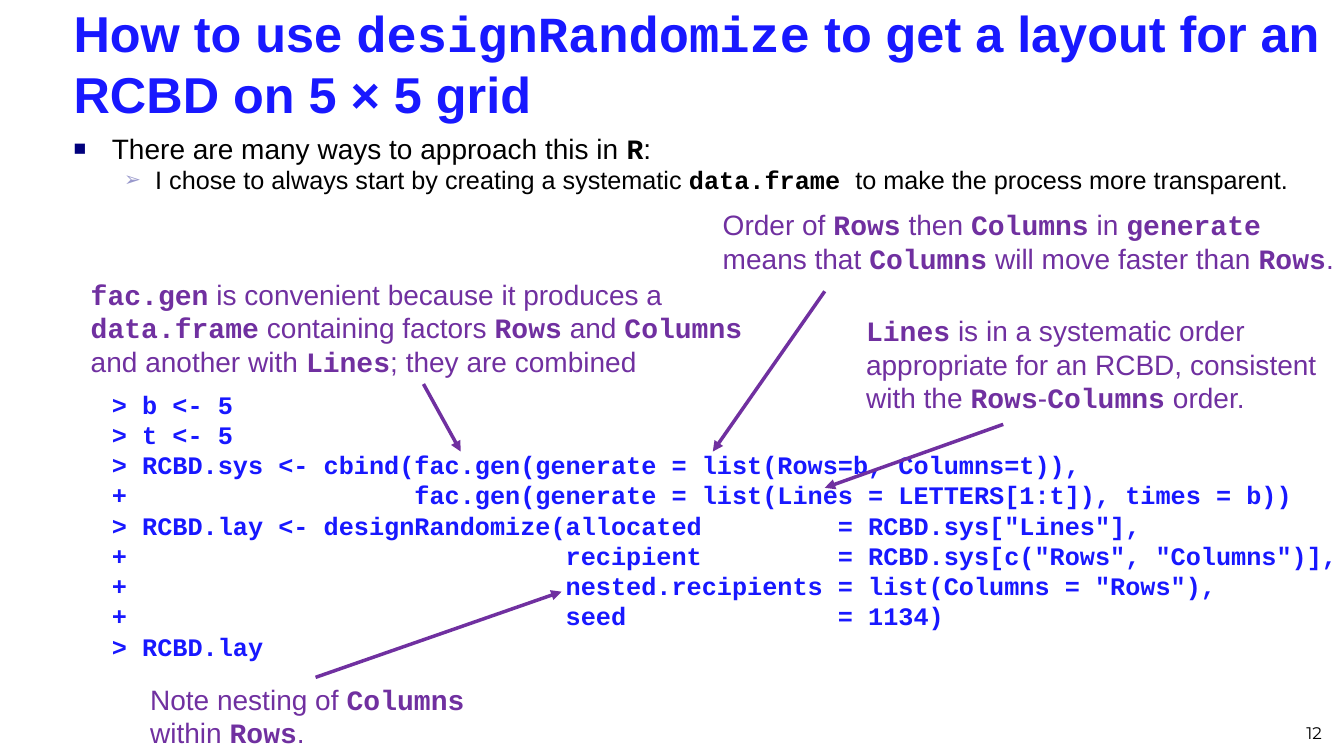
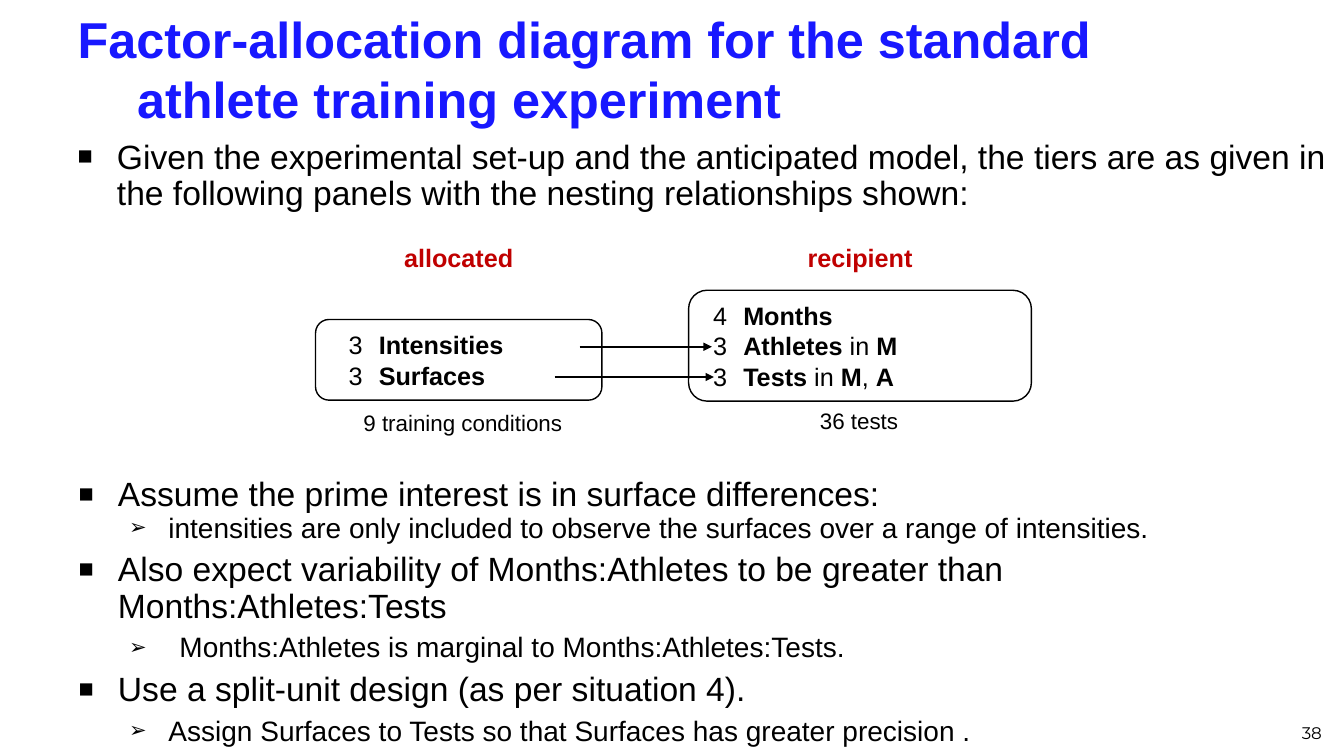
"""Build two slides on randomizing designs: an RCBD layout in R and a factor-allocation diagram."""
from lxml import etree
from pptx import Presentation
from pptx.dml.color import RGBColor
from pptx.enum.shapes import MSO_CONNECTOR, MSO_SHAPE
from pptx.enum.text import MSO_ANCHOR, MSO_AUTO_SIZE, PP_ALIGN
from pptx.oxml.ns import qn
from pptx.util import Inches, Pt

LEFT, CENTER, RIGHT = PP_ALIGN.LEFT, PP_ALIGN.CENTER, PP_ALIGN.RIGHT
TOP, MIDDLE, BOTTOM = MSO_ANCHOR.TOP, MSO_ANCHOR.MIDDLE, MSO_ANCHOR.BOTTOM
STRAIGHT = MSO_CONNECTOR.STRAIGHT
ROUNDED = MSO_SHAPE.ROUNDED_RECTANGLE
NO_FIT = MSO_AUTO_SIZE.NONE

COLORS = {"blue": "1818FF", "purple": "7030A0", "red": "C00000", "black": "000000",
          "navy": "00007D", "lilac": "9999CC"}
DEFAULT = dict(size=20, color="black", font="Arial", accent="Arial", bold=False, align=LEFT,
               level=0, indent=0, hang=0, before=0, spacing=1.0, bullet=None)
SQUARE, ARROW = "\u25a0", "\u27a2"
TITLE = dict(size=36, color="blue", bold=True, accent="Courier New")
POINT = dict(size=24, indent=0.39, hang=0.39, before=6, spacing=0.9, bullet=(SQUARE, "black", 75))
DETAIL = dict(level=1, indent=0.89, hang=0.39, before=6, spacing=0.9, bullet=(ARROW, "black", 75))
STYLES = {
    "title": TITLE,
    "hanging title": TITLE | dict(indent=0.59, hang=0.59),
    "intro": dict(accent="Courier New", indent=0.38, hang=0.38, bullet=(SQUARE, "navy", 75)),
    "intro detail": dict(size=18, accent="Courier New", level=1, indent=0.81, hang=0.31,
                         bullet=(ARROW, "lilac", 80)),
    "code": dict(size=18, color="blue", font="Courier New", bold=True, level=1, indent=0.38),
    "note": dict(color="purple", accent="Courier New"),
    "point": POINT,
    "detail": DETAIL,
    "tight detail": DETAIL | dict(before=0),
    "wide detail": DETAIL | dict(level=2, indent=1, hang=0.5),
    "allocated factor": dict(size=18, indent=0.49, hang=0.3),
    "recipient factor": dict(size=18, indent=0.39, hang=0.3),
    "heading": dict(size=18, color="red", bold=True, align=CENTER),
    "caption": dict(size=16, align=CENTER),
    "number": dict(size=12, font="Montserrat", align=RIGHT),
}


def write(shape, box, lines, anchor=TOP, insets=(0.1, 0.05)):
    """Place a shape and fill it with (style, text) lines; bars enclose accented words."""
    for name, value in zip(("left", "top", "width", "height"), box):
        setattr(shape, name, Inches(value))
    frame = shape.text_frame
    side, edge = map(Inches, insets)
    settings = dict(word_wrap=True, auto_size=NO_FIT, vertical_anchor=anchor, margin_left=side,
                    margin_right=side, margin_top=edge, margin_bottom=edge)
    for name, value in settings.items():
        setattr(frame, name, value)
    for index, (style_name, text) in enumerate(lines):
        style = DEFAULT | STYLES[style_name]
        paragraph = frame.add_paragraph() if index else frame.paragraphs[0]
        layout = dict(alignment=style["align"], level=style["level"], space_after=Pt(0),
                      space_before=Pt(style["before"]), line_spacing=style["spacing"])
        for name, value in layout.items():
            setattr(paragraph, name, value)
        properties = paragraph._p.get_or_add_pPr()
        properties.set("marL", str(Inches(style["indent"])))
        properties.set("indent", str(-Inches(style["hang"])))
        if style["bullet"]:
            character, color, percent = style["bullet"]
            bullet_color = etree.SubElement(properties, qn("a:buClr"))
            etree.SubElement(bullet_color, qn("a:srgbClr"), val=COLORS[color])
            etree.SubElement(properties, qn("a:buSzPct"), val=str(percent * 1000))
            etree.SubElement(properties, qn("a:buFont"), typeface="Arial")
            etree.SubElement(properties, qn("a:buChar"), char=character)
        else:
            etree.SubElement(properties, qn("a:buNone"))
        for part, words in enumerate(text.split("|")):
            if not words:
                continue
            accented = part % 2 == 1
            run = paragraph.add_run()
            run.text = words
            run.font.color.rgb = RGBColor.from_string(COLORS[style["color"]])
            face = dict(name=style["accent" if accented else "font"], size=Pt(style["size"]),
                        bold=style["bold"] or accented)
            for name, value in face.items():
                setattr(run.font, name, value)


def add_arrow(slide, start, end, color, width):
    """Draw a straight arrow from start to end."""
    connector = slide.shapes.add_connector(STRAIGHT, *map(Inches, start + end))
    connector.line.color.rgb = RGBColor.from_string(COLORS[color])
    connector.line.width = Pt(width)
    properties = connector.element.spPr
    etree.SubElement(properties.find(qn("a:ln")), qn("a:tailEnd"), type="triangle")
    etree.SubElement(properties, qn("a:effectLst"))


presentation = Presentation()
presentation.slide_width = Inches(13.33)
presentation.slide_height = Inches(7.5)
two_bodies = presentation.slide_layouts[3]
layout_slide, diagram_slide = [presentation.slides.add_slide(two_bodies) for _ in range(2)]
for slide, number in ((layout_slide, "12"), (diagram_slide, "38")):
    number_box = slide.shapes.add_textbox(0, 0, 0, 0)
    write(number_box, (10.1, 6.92, 3.11, 0.5), [("number", number)], BOTTOM)

title, intro, code = layout_slide.placeholders
write(title, (0.63, 0.23, 12.6, 0.79),
      [("title", "How to use |designRandomize| to get a layout for an RCBD on 5 × 5 grid")], MIDDLE)
write(intro, (0.63, 1.25, 12.6, 0.77), [
    ("intro", "There are many ways to approach this in |R|:"),
    ("intro detail", "I chose to always start by creating a systematic |data.frame |"
                     "to make the process more transparent."),
])

bind_call = "> RCBD.sys <- cbind("
randomize_call = "> RCBD.lay <- designRandomize("
arguments = {
    "allocated": 'RCBD.sys["Lines"],',
    "recipient": 'RCBD.sys[c("Rows", "Columns")],',
    "nested.recipients": 'list(Columns = "Rows"),',
    "seed": "1134)",
}
code_lines = [
    "> b <- 5",
    "> t <- 5",
    bind_call + "fac.gen(generate = list(Rows=b, Columns=t)),",
    "+".ljust(len(bind_call)) + "fac.gen(generate = list(Lines = LETTERS[1:t]), times = b))",
]
for index, (argument, value) in enumerate(arguments.items()):
    opening = "+".ljust(len(randomize_call)) if index else randomize_call
    code_lines.append(f"{opening}{argument:<17} = {value}")
code_lines.append("> RCBD.lay")
write(code, (0.63, 3.81, 12.78, 2.8), [("code", line) for line in code_lines])

wide, normal = (0.13, 0.07), (0.1, 0.05)
notes = [
    ((8.46, 3.04, 4.88, 1.17), wide,
     "|Lines| is in a systematic order appropriate for an RCBD, consistent with the "
     "|Rows|-|Columns| order."),
    ((7.07, 2.01, 6.27, 0.77), normal,
     "Order of |Rows| then |Columns| in |generate |means that |Columns| "
     "will move faster than |Rows|."),
    ((1.39, 6.72, 3.48, 0.77), normal, "Note nesting of |Columns| within |Rows|."),
    ((0.77, 2.68, 6.85, 1.13), wide,
     "|fac.gen| is convenient because it produces a |data.frame| containing factors "
     "|Rows| and |Columns| and another with |Lines|; they are combined"),
]
for box, insets, text in notes:
    note = layout_slide.shapes.add_textbox(0, 0, 0, 0)
    write(note, box, [("note", text)], insets=insets)
for start, end in [((4.2, 3.81), (4.57, 4.48)), ((9.95, 4.21), (8.18, 4.84)),
                   ((8.18, 2.89), (7.07, 4.48)), ((3.13, 6.72), (5.57, 5.87))]:
    add_arrow(layout_slide, start, end, "purple", 2.5)

title, premise, conclusions = diagram_slide.placeholders
write(title, (0.67, 0.13, 12, 1.1),
      [("hanging title", "Factor-allocation diagram for the standard athlete training experiment")],
      MIDDLE)
write(premise, (0.67, 1.34, 12.65, 0.77), [
    ("point", "Given the experimental set-up and the anticipated model, the tiers are as given in "
              "the following panels with the nesting relationships shown:"),
])
write(conclusions, (0.68, 4.69, 12.65, 2.95), [
    ("point", "Assume the prime interest is in surface differences:"),
    ("tight detail", "intensities are only included to observe the surfaces over a range of "
                     "intensities."),
    ("point", "Also expect variability of Months:Athletes to be greater than "
              "Months:Athletes:Tests"),
    ("wide detail", "Months:Athletes is marginal to Months:Athletes:Tests."),
    ("point", "Use a split-unit design (as per situation 4)."),
    ("detail", "Assign Surfaces to Tests so that Surfaces has greater precision ."),
])

panels = [
    ("allocated", (3.82, 2.36, 1.46, 0.4), (3.13, 3.17, 2.84, 0.8),
     ["3\t|Intensities|", "3\t|Surfaces|"],
     "9 training conditions", (3.08, 4.01, 3.02, 0.37)),
    ("recipient", (7.89, 2.35, 1.28, 0.4), (6.83, 2.88, 3.4, 1.1),
     ["4\t|Months|", "3\t|Athletes |in |M|", "3\t|Tests |in |M|, |A|"],
     "36 tests", (7.23, 3.99, 2.58, 0.37)),
]
for role, heading_box, panel_box, factors, caption, caption_box in panels:
    panel = diagram_slide.shapes.add_shape(ROUNDED, 0, 0, 0, 0)
    panel.shadow.inherit = False
    panel.fill.background()
    panel.line.color.rgb = RGBColor.from_string(COLORS["black"])
    panel.line.width = Pt(1)
    write(panel, panel_box, [(f"{role} factor", factor) for factor in factors], MIDDLE)
    for style, text, box in (("heading", role, heading_box), ("caption", caption, caption_box)):
        label = diagram_slide.shapes.add_textbox(0, 0, 0, 0)
        write(label, box, [(style, text)])
for start, end in [((5.75, 3.44), (7.06, 3.44)), ((5.5, 3.74), (7.08, 3.74))]:
    add_arrow(diagram_slide, start, end, "black", 1.5)

presentation.save("out.pptx")
